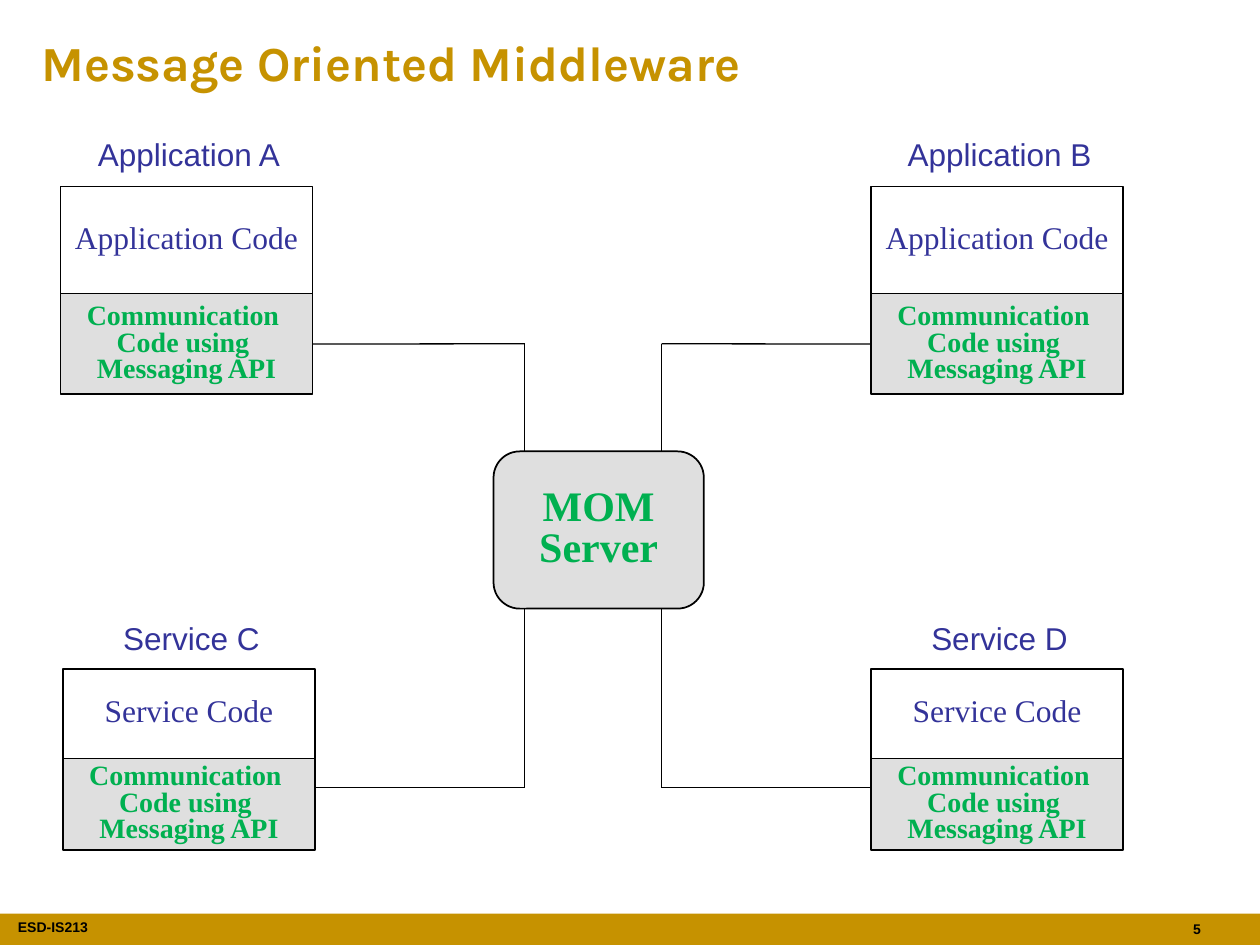
from dataclasses import dataclass

from lxml import etree
from pptx import Presentation
from pptx.dml.color import RGBColor
from pptx.enum.shapes import MSO_CONNECTOR, MSO_SHAPE
from pptx.enum.text import MSO_ANCHOR, MSO_AUTO_SIZE, PP_ALIGN
from pptx.oxml.ns import qn
from pptx.slide import Slide
from pptx.util import Cm, Pt

STRAIGHT = MSO_CONNECTOR.STRAIGHT
RECT, ROUNDED = MSO_SHAPE.RECTANGLE, MSO_SHAPE.ROUNDED_RECTANGLE
LEFT, CENTER, RIGHT = PP_ALIGN.LEFT, PP_ALIGN.CENTER, PP_ALIGN.RIGHT
TOP, MIDDLE = MSO_ANCHOR.TOP, MSO_ANCHOR.MIDDLE
NO_AUTOFIT = MSO_AUTO_SIZE.NONE
LEFT_SIDE, RIGHT_SIDE = 1, 3

COLORS = {"gold": "C69200", "black": "000000", "gray": "C0C0C0",
          "green": "00B050", "indigo": "333399"}
SERIF, SANS, HEADING = "Times New Roman", "Arial", "Karla"


@dataclass
class Diagram:
    slide: Slide
    spacing: float = 0.8
    outline: float = 1
    wire: float = 0.75

    def color(self, name):
        return RGBColor.from_string(COLORS[name])

    def fill_text(self, frame, lines, size, font, color, bold=False,
                  align=CENTER, anchor=MIDDLE, spacing=None, wrap=False):
        frame.word_wrap = wrap
        frame.auto_size = NO_AUTOFIT
        frame.vertical_anchor = anchor
        for index, line in enumerate(lines):
            paragraph = frame.add_paragraph() if index else frame.paragraphs[0]
            paragraph.alignment = align
            if spacing:
                paragraph.line_spacing = spacing
            run = paragraph.add_run()
            run.text = line
            run.font.size = Pt(size)
            run.font.name = font
            run.font.bold = bold
            run.font.color.rgb = self.color(color)

    def title(self, text, left, top, width, height):
        title = self.slide.shapes.title
        title.left, title.top = Cm(left), Cm(top)
        title.width, title.height = Cm(width), Cm(height)
        self.fill_text(title.text_frame, [text], 28, HEADING, "gold", True,
                       align=LEFT, wrap=True)

    def band(self, left, top, width, height):
        band = self.slide.shapes.add_shape(
            RECT, Cm(left), Cm(top), Cm(width), Cm(height))
        band.shadow.inherit = False
        band.fill.solid()
        band.fill.fore_color.rgb = self.color("gold")
        band.line.fill.background()

    def footer(self, text, left, top, width, align, inset):
        footer = self.slide.shapes.add_textbox(
            Cm(left), Cm(top), Cm(width), Cm(0.62))
        frame = footer.text_frame
        frame.margin_left = frame.margin_right = Cm(inset)
        self.fill_text(frame, [text], 8, SANS, "black", True,
                       align=align, anchor=TOP, wrap=True)

    def label(self, text, center, top, width):
        label = self.slide.shapes.add_textbox(
            Cm(center - width / 2), Cm(top), Cm(width), Cm(0.86))
        self.fill_text(label.text_frame, [text], 18, SANS, "indigo",
                       anchor=TOP, spacing=self.spacing)

    def box(self, lines, left, top, width, height, size,
            shaded=True, preset=RECT):
        box = self.slide.shapes.add_shape(
            preset, Cm(left), Cm(top), Cm(width), Cm(height))
        box.shadow.inherit = False
        box.line.color.rgb = self.color("black")
        box.line.width = Pt(self.outline)
        if shaded:
            box.fill.solid()
            box.fill.fore_color.rgb = self.color("gray")
            tint = box._element.spPr.find(qn("a:solidFill"))[0]
            etree.SubElement(tint, qn("a:alpha"), val="50000")
        else:
            box.fill.background()
        self.fill_text(box.text_frame, lines, size, SERIF,
                       "green" if shaded else "indigo", bold=shaded,
                       spacing=self.spacing)
        return box

    def line(self, x1, y1, x2, y2):
        line = self.slide.shapes.add_connector(
            STRAIGHT, Cm(x1), Cm(y1), Cm(x2), Cm(y2))
        line.line.color.rgb = self.color("black")
        line.line.width = Pt(self.wire)
        etree.SubElement(line._element.spPr, qn("a:effectLst"))
        return line


def main():
    deck = Presentation()
    deck.slide_width, deck.slide_height = Cm(25.4), Cm(19.05)
    diagram = Diagram(deck.slides.add_slide(deck.slide_layouts[5]))

    diagram.band(0, 18.42, 25.4, 0.63)
    diagram.footer("ESD-IS213", 0.36, 18.39, 3.28, LEFT, 0)
    diagram.title("Message Oriented Middleware", 0.58, 0.53, 24.23, 1.45)
    diagram.footer("5", 23.47, 18.44, 0.99, RIGHT, 0.25)

    server_top, server_height = 9.1, 3.17
    server_bottom = server_top + server_height
    diagram.box(["MOM", "Server"], 9.95, server_top, 4.24, server_height, 24,
                preset=ROUNDED)

    box_width = 5.08
    left_wire, right_wire = 10.58, 13.34
    upper_wire, lower_wire = 6.93, 15.88
    api_lines = ["Communication ", "Code using ", "Messaging API"]
    upper = ("Application", 2.74, 3.76, 5.92, 7.95, 4.25)
    lower = ("Service", 12.5, 13.49, 15.29, 17.13, 3.28)
    participants = [("A", 1.22, upper), ("B", 17.56, upper),
                    ("C", 1.27, lower), ("D", 17.56, lower)]

    for letter, left, row in participants:
        kind, label_top, top, split, bottom, label_width = row
        diagram.label(f"{kind} {letter}", left + box_width / 2 + 0.05,
                      label_top, label_width)
        diagram.box([f"{kind} Code"], left, top, box_width, split - top, 18,
                    shaded=False)
        api_box = diagram.box(api_lines, left, split, box_width,
                              bottom - split, 16)

        on_left = left < left_wire
        wire_x = left_wire if on_left else right_wire
        box_edge = left + box_width if on_left else left
        wire_y = upper_wire if row is upper else lower_wire
        server_edge = server_top if row is upper else server_bottom
        branch = diagram.line(box_edge, wire_y, wire_x, wire_y)
        if row is upper:
            branch.begin_connect(api_box, RIGHT_SIDE if on_left else LEFT_SIDE)
        diagram.line(wire_x, wire_y, wire_x, server_edge)

    deck.save("out.pptx")


if __name__ == "__main__":
    main()
